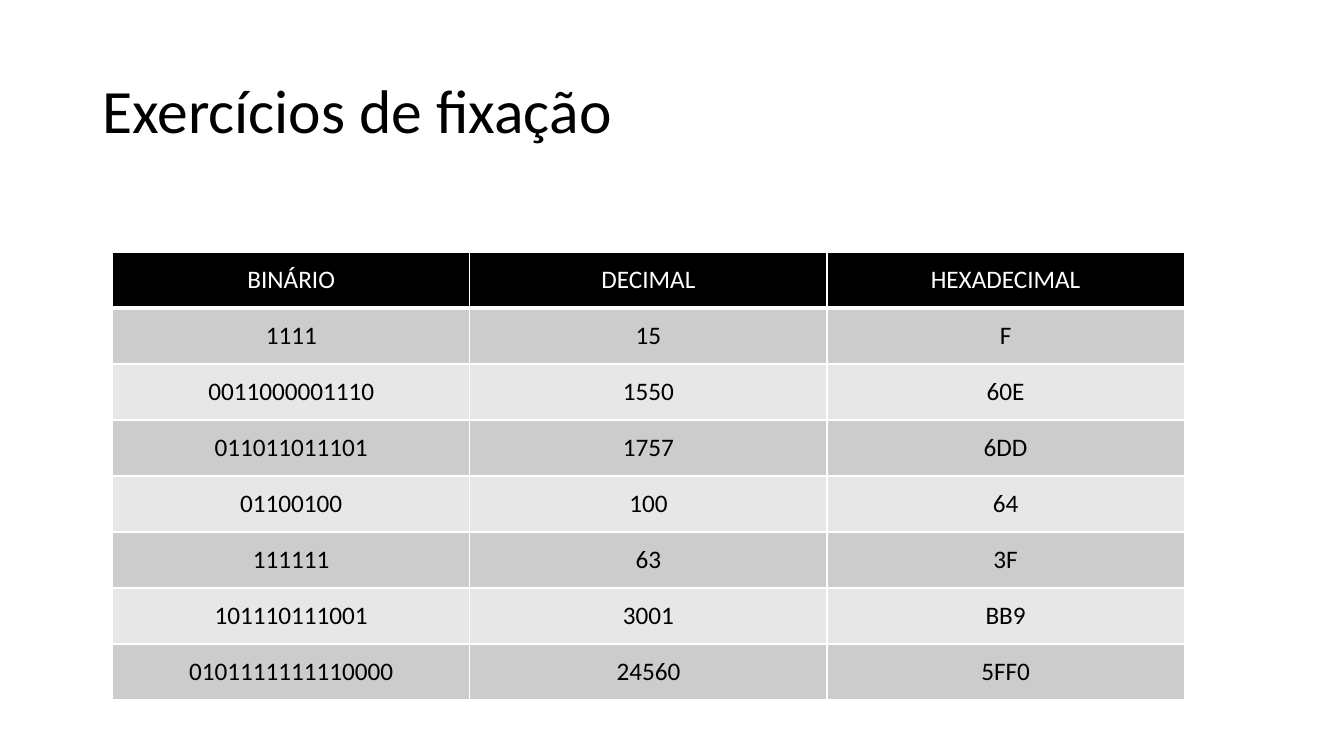
import pptx
import pptx.dml.color
import pptx.enum.text
import pptx.oxml.ns
import pptx.util
from lxml import etree

Pt = pptx.util.Pt
ALIGN = pptx.enum.text.PP_ALIGN
MIDDLE = pptx.enum.text.MSO_ANCHOR.MIDDLE

FONT = "Calibri"
BLACK = "000000"
WHITE = "FFFFFF"
BANDS = ("CCCCCC", "E7E7E7")
COLUMN_WIDTH = 255.12
ROW_HEIGHT = 40

CONVERSIONS = [
    ("BINÁRIO", "DECIMAL", "HEXADECIMAL"),
    ("1111", "15", "F"),
    ("0011000001110", "1550", "60E"),
    ("011011011101", "1757", "6DD"),
    ("01100100", "100", "64"),
    ("111111", "63", "3F"),
    ("101110111001", "3001", "BB9"),
    ("0101111111110000", "24560", "5FF0"),
]


def rgb(color):
    return pptx.dml.color.RGBColor.from_string(color)


def write_text(frame, text, size=18, color=BLACK, align=ALIGN.LEFT, spacing=1.0):
    para = frame.paragraphs[0]
    para.alignment = align
    para.line_spacing = spacing
    span = para.add_run()
    span.text = text
    span.font.name = FONT
    span.font.size = Pt(size)
    span.font.bold = False
    span.font.color.rgb = rgb(color)


def add_title(page, text):
    title = page.shapes.title
    title.left, title.top = Pt(66), Pt(28.75)
    title.width, title.height = Pt(828), Pt(104.38)
    title.text_frame.vertical_anchor = MIDDLE
    write_text(title.text_frame, text, size=44, spacing=0.9)


def set_borders(cell, color, **widths):
    properties = cell._tc.get_or_add_tcPr()
    qn = pptx.oxml.ns.qn
    for side in ("L", "R", "T", "B"):
        width = Pt(widths.get(side, 1))
        line = etree.SubElement(properties, qn(f"a:ln{side}"), w=str(width))
        fill = etree.SubElement(line, qn("a:solidFill"))
        etree.SubElement(fill, qn("a:srgbClr"), val=color)


def format_cell(cell, text, is_header, fill):
    cell.vertical_anchor = MIDDLE
    set_borders(cell, WHITE, B=3 if is_header else 1)
    cell.fill.solid()
    cell.fill.fore_color.rgb = rgb(fill)
    color = WHITE if is_header else BLACK
    write_text(cell.text_frame, text, color=color, align=ALIGN.CENTER)


def add_conversion_table(page, rows, left, top):
    columns = len(rows[0])
    frame = page.shapes.add_table(
        len(rows), columns, Pt(left), Pt(top),
        Pt(columns * COLUMN_WIDTH), Pt(len(rows) * ROW_HEIGHT))
    table = frame.table
    for column in table.columns:
        column.width = Pt(COLUMN_WIDTH)
    for row_index, values in enumerate(rows):
        table.rows[row_index].height = Pt(ROW_HEIGHT)
        is_header = row_index == 0
        fill = BLACK if is_header else BANDS[(row_index - 1) % 2]
        for column_index, value in enumerate(values):
            format_cell(table.cell(row_index, column_index), value, is_header, fill)


def main():
    deck = pptx.Presentation()
    deck.slide_width, deck.slide_height = Pt(960), Pt(540)
    page = deck.slides.add_slide(deck.slide_layouts.get_by_name("Title Only"))
    add_title(page, "Exercícios de fixação")
    add_conversion_table(page, CONVERSIONS, left=80.5, top=180)
    deck.save("out.pptx")


main()
